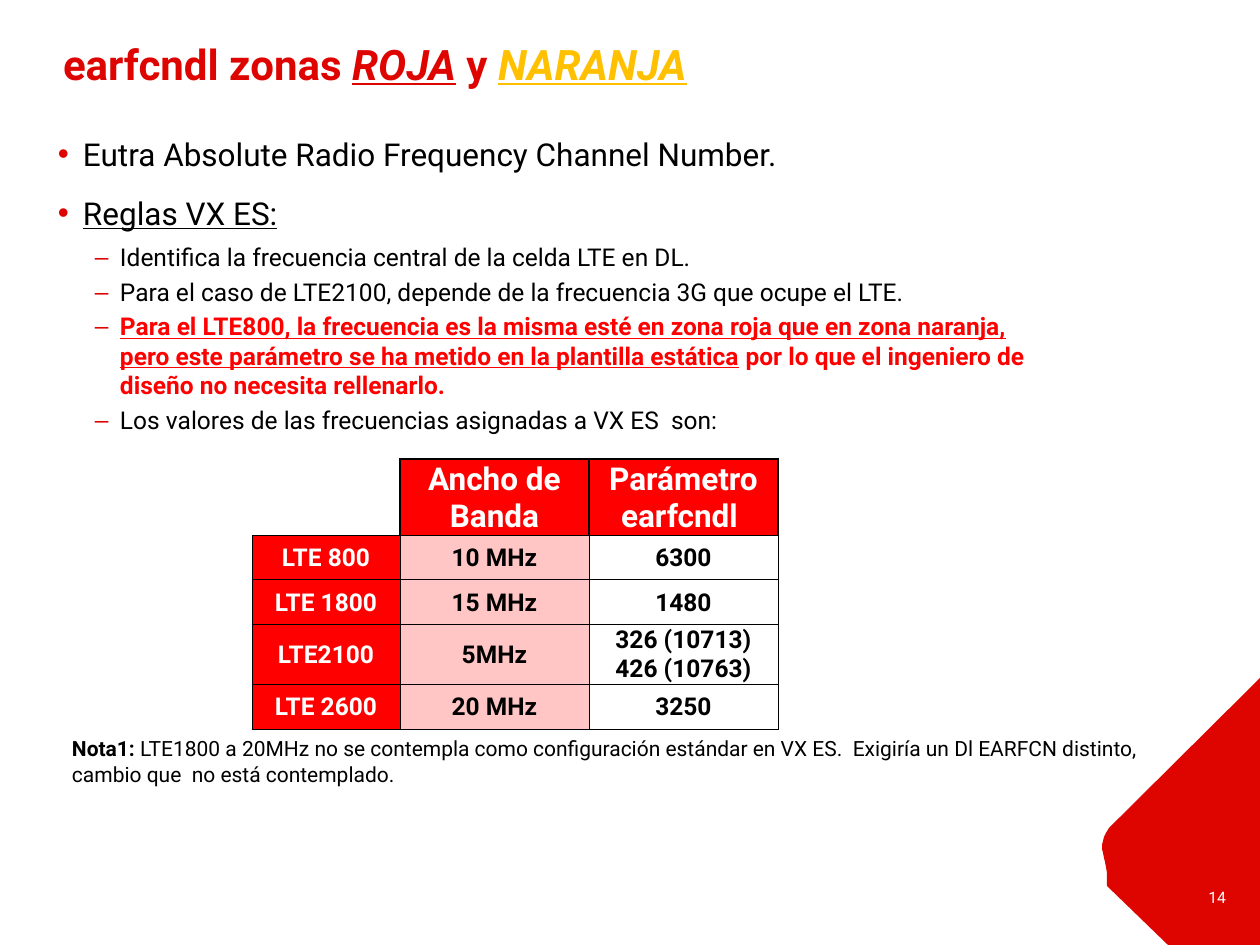
from lxml.etree import SubElement
from pptx import Presentation
from pptx.dml.color import RGBColor
from pptx.enum.text import MSO_ANCHOR, PP_ALIGN
from pptx.oxml.ns import qn
from pptx.util import Pt

PX = 914400 / 126
BRAND_RED = RGBColor(0xDE, 0x04, 0x00)
RED = RGBColor(0xFF, 0x00, 0x00)
ORANGE = RGBColor(0xFF, 0xC0, 0x00)
PINK = RGBColor(0xFF, 0xC6, 0xC5)
BLACK = RGBColor(0x00, 0x00, 0x00)
WHITE = RGBColor(0xFF, 0xFF, 0xFF)


def px(value):
    return round(value * PX)


def write(paragraph, text, size=14, color=BLACK, bold=False, italic=False, underline=False):
    run = paragraph.add_run()
    run.text = text
    font = run.font
    font.name = "Roboto"
    font.size = Pt(size)
    font.color.rgb = color
    font.bold, font.italic, font.underline = bold, italic, underline


prs = Presentation()
prs.slide_width, prs.slide_height = px(1260), px(945)
slide = prs.slides.add_slide(prs.slide_layouts[6])
shapes = slide.shapes

corner_curve = ((1107, 886), (1109, 857), (1094, 847), (1109, 828))
corner_points = [(1260, 945), (1168, 945)]
for step in range(13):
    t = step / 12
    weights = ((1 - t) ** 3, 3 * t * (1 - t) ** 2, 3 * t * t * (1 - t), t ** 3)
    corner_points.append(tuple(
        round(sum(w * point[axis] for w, point in zip(weights, corner_curve)))
        for axis in (0, 1)))
builder = shapes.build_freeform(1260, 678, scale=PX)
builder.add_line_segments(corner_points, close=True)
corner = builder.convert_to_shape()
corner.shadow.inherit = False
corner.fill.solid()
corner.fill.fore_color.rgb = BRAND_RED
corner.line.fill.background()

frames = []
for box, insets in (
    ((63, 38, 1013, 144), (0, 0, 0, 0)),
    ((58, 135, 1013, 674), (0, 0, 10, 0)),
    ((1092, 872, 134, 50), (13, 6, 0, 6)),
    ((72, 736, 1101, 50), (0, 0, 0, 0)),
):
    frame = shapes.add_textbox(*map(px, box)).text_frame
    frame.word_wrap = True
    frame.margin_left, frame.margin_top, frame.margin_right, frame.margin_bottom = map(px, insets)
    frames.append(frame)
title, body, page_number, note = frames

for text, color, emphasis in (
    ("earfcndl zonas ", BRAND_RED, False),
    ("ROJA", BRAND_RED, True),
    (" y ", BRAND_RED, False),
    ("NARANJA", ORANGE, True),
):
    write(title.paragraphs[0], text, size=24, color=color, bold=True,
          italic=emphasis, underline=emphasis)

bullets = (
    (0, [("Eutra Absolute Radio Frequency Channel Number.", {})]),
    (0, [("Reglas VX ES:", {"underline": True})]),
    (1, [("Identifica la frecuencia central de la celda LTE en DL.", {})]),
    (1, [("Para el caso de LTE2100, depende de la frecuencia 3G que ocupe el LTE.", {})]),
    (1, [("Para el LTE800, la frecuencia es la misma esté en zona roja que en zona naranja, "
          "pero este parámetro se ha metido en la plantilla estática",
          {"color": RED, "bold": True, "underline": True}),
         (" por lo que el ingeniero de diseño no necesita rellenarlo.",
          {"color": RED, "bold": True})]),
    (1, [("Los valores de las frecuencias asignadas a VX ES  son:", {})]),
)
for index, (level, parts) in enumerate(bullets):
    bullet = body.add_paragraph() if index else body.paragraphs[0]
    bullet.level = level
    bullet.space_before = Pt((6, 0)[level])
    bullet.space_after = Pt((6, 3)[level])
    properties = bullet._p.get_or_add_pPr()
    properties.set("marL", str(px((25, 62)[level])))
    properties.set("indent", str(px(-25)))
    bullet_color = SubElement(properties, qn("a:buClr"))
    SubElement(bullet_color, qn("a:srgbClr"), val=str(BRAND_RED))
    SubElement(properties, qn("a:buFont"), typeface="Arial")
    SubElement(properties, qn("a:buChar"), char="•–"[level])
    for text, style in parts:
        write(bullet, text, size=(18, 14)[level], **style)

page_number.vertical_anchor = MSO_ANCHOR.MIDDLE
page_number.paragraphs[0].alignment = PP_ALIGN.RIGHT
write(page_number.paragraphs[0], "14", size=9, color=WHITE)

rows = (
    ("", "Ancho de Banda", "Parámetro earfcndl "),
    ("LTE 800", "10 MHz", "6300"),
    ("LTE 1800", "15 MHz", "1480"),
    ("LTE2100", "5MHz", "326 (10713)\n426 (10763)"),
    ("LTE 2600", "20 MHz", "3250"),
)
widths, heights = (148, 189, 189), (75, 44, 45, 59, 45)
table = shapes.add_table(len(rows), len(widths), px(252), px(459),
                         px(sum(widths)), px(sum(heights))).table
table.first_row = table.horz_banding = False
for column, width in zip(table.columns, widths):
    column.width = px(width)
for row, height in zip(table.rows, heights):
    row.height = px(height)

for r, texts in enumerate(rows):
    for c, text in enumerate(texts):
        cell = table.cell(r, c)
        cell.vertical_anchor = MSO_ANCHOR.MIDDLE
        cell.margin_left = cell.margin_top = cell.margin_right = px(1)
        cell.margin_bottom = 0
        blank = r == 0 and c == 0
        header = r == 0 and c > 0
        borders = {
            "L": 0 if blank else 1 if header else 0.5,
            "R": 1 if r == 0 else 0.5,
            "T": 0 if blank else 1 if header or (r == 1 and c) else 0.5,
            "B": 1 if header or (r == 4 and c) else 0.5,
        }
        for side, points in borders.items():
            border = SubElement(cell._tc.get_or_add_tcPr(), qn("a:ln" + side), w=str(Pt(points)))
            if points:
                SubElement(SubElement(border, qn("a:solidFill")), qn("a:srgbClr"), val=str(BLACK))
            else:
                SubElement(border, qn("a:noFill"))
        fill = None if blank else RED if r == 0 or c == 0 else PINK if c == 1 else None
        if fill is None:
            cell.fill.background()
        else:
            cell.fill.solid()
            cell.fill.fore_color.rgb = fill
        for index, line in enumerate(text.split("\n") if text else ()):
            frame = cell.text_frame
            paragraph = frame.add_paragraph() if index else frame.paragraphs[0]
            paragraph.alignment = PP_ALIGN.CENTER
            write(paragraph, line, size=18 if header else 14, bold=True,
                  color=WHITE if fill == RED else BLACK)

write(note.paragraphs[0], "Nota1: ", size=12, bold=True)
write(note.paragraphs[0],
      "LTE1800 a 20MHz no se contempla como configuración estándar en VX ES.  "
      "Exigiría un Dl EARFCN distinto, cambio que  no está contemplado.", size=12)

prs.save("out.pptx")
